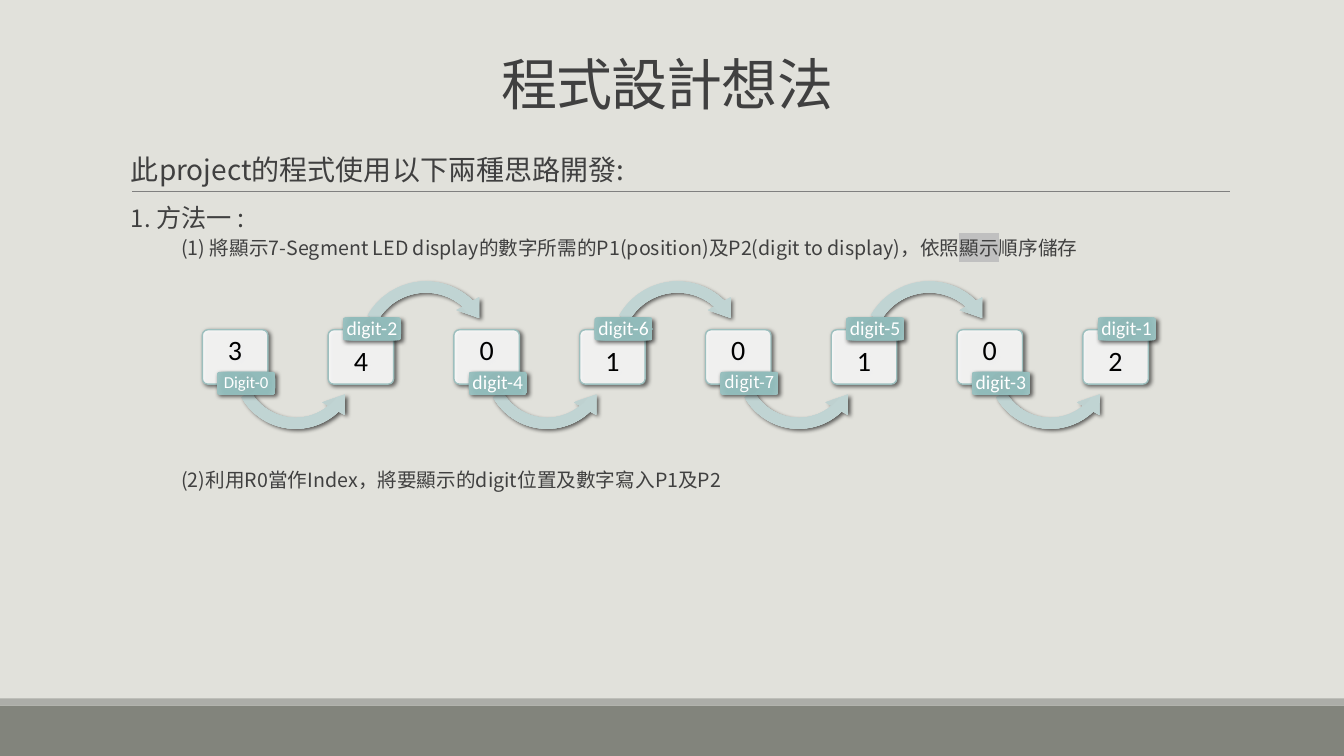
from lxml import etree
from pptx import Presentation
from pptx import util as u
from pptx.dml.color import RGBColor
from pptx.enum import shapes, text
from pptx.oxml import ns, parse_xml

BACKGROUND = RGBColor(0xE1, 0xE1, 0xDB)
FOOTER = RGBColor(0x82, 0x84, 0x7C)
FOOTER_EDGE = RGBColor(0xAC, 0xAD, 0xA8)
RULE = RGBColor(0x80, 0x80, 0x80)
INK = RGBColor(0x40, 0x40, 0x40)
BLACK = RGBColor(0, 0, 0)
WHITE = RGBColor(0xFF, 0xFF, 0xFF)
BOX_EDGE = RGBColor(0x9D, 0xBF, 0xBE)
HIGHLIGHT = RGBColor(0xC0, 0xC0, 0xC0)
ARROW_TINTS = [RGBColor(0xBC, 0xCF, 0xCE), RGBColor(0xBE, 0xD1, 0xD0),
               RGBColor(0xC0, 0xD4, 0xD3), RGBColor(0xCB, 0xDC, 0xDC)]
LABEL_TINTS = [RGBColor(0x8E, 0xB7, 0xB6), RGBColor(0x90, 0xB8, 0xB7),
               RGBColor(0x91, 0xBB, 0xBA), RGBColor(0x9B, 0xC1, 0xC0)]
CJK = "Noto Sans CJK SC"
LATIN = "Calibri"


def write(paragraph, content, size=14, color=INK, font=CJK, highlight=None, spacing=None):
    paragraph.line_spacing = paragraph.line_spacing or 0.9
    run = paragraph.add_run()
    run.text = content
    run.font.size = u.Pt(size)
    run.font.color.rgb = color
    properties = run.font._element
    if spacing:
        properties.set("spc", str(spacing))
    if highlight:
        mark = etree.SubElement(properties, ns.qn("a:highlight"))
        etree.SubElement(mark, ns.qn("a:srgbClr"), val=str(highlight))
    run.font.name = font
    etree.SubElement(properties, ns.qn("a:ea"), typeface=font)


def add_raised(kind, left, top, width, height, adjustments, tints=None):
    shape = slide.shapes.add_shape(kind, u.Cm(left), u.Cm(top), u.Cm(width), u.Cm(height))
    for index, value in enumerate(adjustments):
        shape.adjustments[index] = value
    properties = shape._element.spPr
    if tints:
        stops = "".join(f'<a:gs pos="{position}000"><a:srgbClr val="{tint}"/></a:gs>'
                        for position, tint in zip((0, 34, 70, 100), tints))
        properties.find(ns.qn("a:prstGeom")).addnext(parse_xml(
            f'<a:gradFill {ns.nsdecls("a")} rotWithShape="1"><a:gsLst>{stops}</a:gsLst>'
            '<a:path path="circle"><a:fillToRect l="100000" t="100000" r="100000" b="100000"/>'
            '</a:path></a:gradFill>'))
        shape.line.fill.background()
    else:
        shape.fill.solid()
        shape.fill.fore_color.rgb = WHITE
        etree.SubElement(properties.find(".//" + ns.qn("a:srgbClr")), ns.qn("a:alpha"), val="90000")
        shape.line.color.rgb = BOX_EDGE
        shape.line.width = u.Pt(1)
    shape.shadow.inherit = False
    properties.find(ns.qn("a:effectLst")).append(parse_xml(
        f'<a:outerShdw {ns.nsdecls("a")} blurRad="38100" dist="25400" dir="2700000" rotWithShape="0">'
        '<a:srgbClr val="000000"><a:alpha val="60000"/></a:srgbClr></a:outerShdw>'))
    frame = shape.text_frame
    frame.margin_left = frame.margin_right = u.Cm(0.08)
    frame.margin_top = frame.margin_bottom = u.Cm(0.05)
    frame.paragraphs[0].alignment = text.PP_ALIGN.CENTER
    return shape


presentation = Presentation()
presentation.slide_width = u.Cm(33.87)
presentation.slide_height = u.Cm(19.05)
slide = presentation.slides.add_slide(presentation.slide_layouts[1])
slide.background.fill.solid()
slide.background.fill.fore_color.rgb = BACKGROUND

for top, height, color in [(17.78, 1.27, FOOTER), (17.6, 0.18, FOOTER_EDGE)]:
    band = slide.shapes.add_shape(shapes.MSO_SHAPE.RECTANGLE, 0, u.Cm(top),
                                  presentation.slide_width, u.Cm(height))
    band.shadow.inherit = False
    band.fill.solid()
    band.fill.fore_color.rgb = color
    band.line.fill.background()

rule = slide.shapes.add_connector(shapes.MSO_CONNECTOR.STRAIGHT,
                                  u.Cm(3.33), u.Cm(4.82), u.Cm(31), u.Cm(4.82))
rule.line.color.rgb = RULE
rule.line.width = u.Pt(0.5)
etree.SubElement(rule._element.spPr, ns.qn("a:effectLst"))

title = slide.shapes.title
title.left, title.top, title.width, title.height = u.Cm(-0.25), u.Cm(1.02), u.Cm(34.12), u.Cm(2.06)
title.text_frame.auto_size = text.MSO_AUTO_SIZE.NONE
title.text_frame.vertical_anchor = text.MSO_ANCHOR.BOTTOM
heading = title.text_frame.paragraphs[0]
heading.alignment = text.PP_ALIGN.CENTER
heading.line_spacing = 0.85
write(heading, "程式設計想法", size=40, spacing=-50)

body = slide.placeholders[1]
body.left, body.top, body.width, body.height = u.Cm(3.3), u.Cm(3.81), u.Cm(30.5), u.Cm(13)
frame = body.text_frame
frame.auto_size = text.MSO_AUTO_SIZE.NONE
frame.margin_left = frame.margin_right = 0
outline = [
    (0, 0, 2, [("此project的程式使用以下兩種思路開發:", {"size": 20})]),
    (0, 12, 2, [("1. ", {"size": 17}), ("方法一 :", {"size": 18})]),
    (1, 2, 4, [("(1) 將顯示7-Segment LED display的數字所需的P1(position)及P2(digit to display)，依照", {}),
               ("顯示", {"highlight": HIGHLIGHT}), ("順序儲存", {})]),
    (1, 146, 4, [("(2)利用R0當作Index，將要顯示的digit位置及數字寫入P1及P2", {})]),
]
for index, (level, before, after, runs) in enumerate(outline):
    paragraph = frame.add_paragraph() if index else frame.paragraphs[0]
    paragraph.level = level
    properties = paragraph._p.get_or_add_pPr()
    properties.set("marL", str(u.Cm(1.27 * level)))
    properties.set("indent", "0")
    etree.SubElement(properties, ns.qn("a:buNone"))
    paragraph.space_before = u.Pt(before)
    paragraph.space_after = u.Pt(after)
    for content, style in runs:
        write(paragraph, content, **style)

digits = [("3", "Digit-0", 12, LATIN), ("4", "digit-2", 14, LATIN),
          ("0", "digit-4", 14, LATIN), ("1", "digit-6", 14, LATIN),
          ("0", "digit-7", 12, CJK), ("1", "digit-5", 14, LATIN),
          ("0", "digit-3", 14, LATIN), ("2", "digit-1", 14, LATIN)]
ROUND = shapes.MSO_SHAPE.ROUNDED_RECTANGLE
for index, (digit, name, size, font) in enumerate(digits):
    left = 5.1 + 3.17 * index
    upper = index % 2 == 1
    box = add_raised(ROUND, left, 8.31, 1.65, 1.37, [0.1])
    box.text_frame.vertical_anchor = text.MSO_ANCHOR.TOP
    box.text_frame.margin_top = u.Cm(0.41 if upper else 0.13)
    write(box.text_frame.paragraphs[0], digit, size=20, color=BLACK, font=LATIN)
    if index < len(digits) - 1:
        if upper:
            add_raised(shapes.MSO_SHAPE.CIRCULAR_ARROW, left + 0.6, 6.91, 3.73, 3.73,
                       [0.075, 10.23, 188.01, 125.76, 0.087], ARROW_TINTS)
        else:
            add_raised(shapes.MSO_SHAPE.LEFT_CIRCULAR_ARROW, left + 0.6, 7.49, 3.5, 3.5,
                       [0.079, 10.98, 28.74, 90.25, 0.092], ARROW_TINTS)
    label = add_raised(ROUND, left + 0.37, 8 if upper else 9.37, 1.47, 0.58, [0.1], LABEL_TINTS)
    label.text_frame.vertical_anchor = text.MSO_ANCHOR.MIDDLE
    write(label.text_frame.paragraphs[0], name, size=size, color=WHITE, font=font)

presentation.save("out.pptx")
